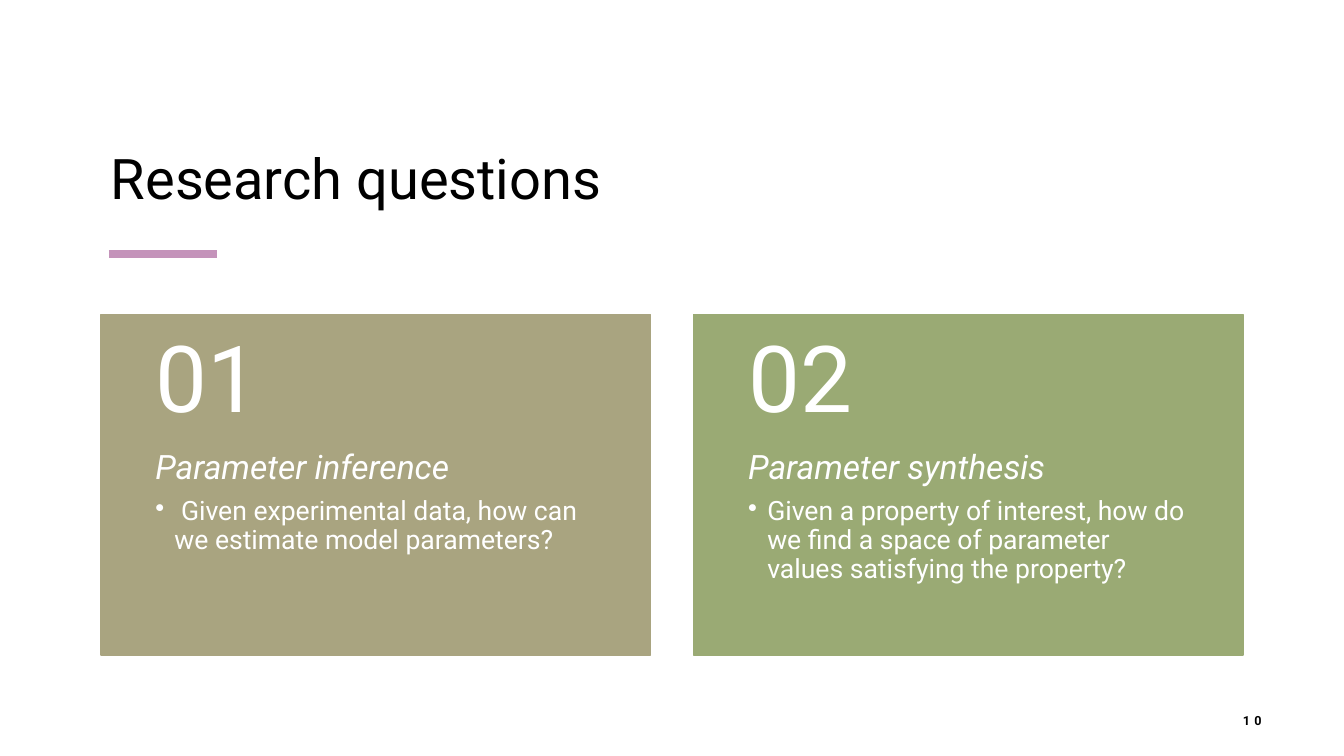
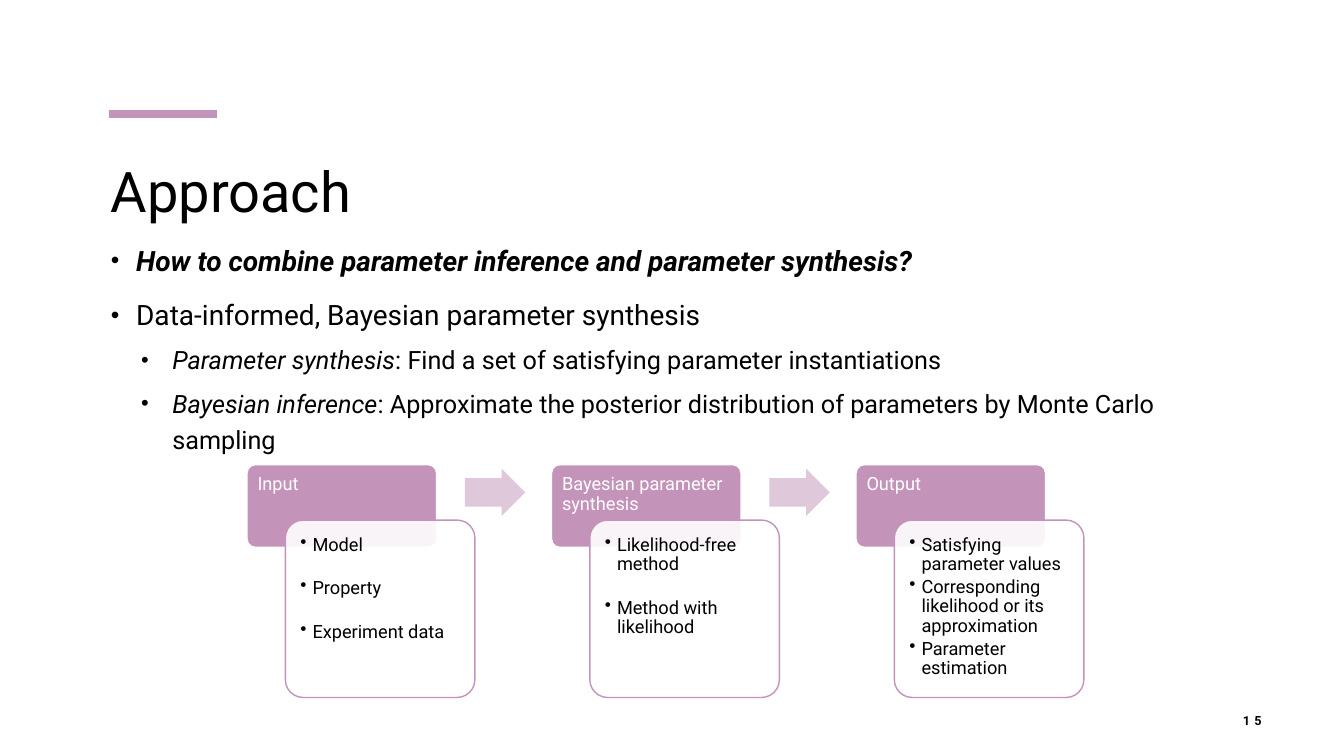
from dataclasses import dataclass
from typing import NamedTuple

from lxml import etree
from pptx import Presentation
from pptx.dml.color import RGBColor
from pptx.enum.shapes import MSO_CONNECTOR, MSO_SHAPE
from pptx.enum.text import MSO_ANCHOR, MSO_AUTO_SIZE, PP_ALIGN
from pptx.oxml.ns import qn
from pptx.util import Emu, Pt

EMU_PER_PX = 9144
FONT = "Roboto"
BLACK = RGBColor(0x00, 0x00, 0x00)
WHITE = RGBColor(0xFF, 0xFF, 0xFF)
MAUVE = RGBColor(0xC4, 0x93, 0xBA)
PALE_MAUVE = RGBColor(0xDE, 0xC8, 0xD9)
KHAKI = RGBColor(0xA9, 0xA4, 0x80)
GREEN = RGBColor(0x9A, 0xAA, 0x74)

RECTANGLE = MSO_SHAPE.RECTANGLE
ROUNDED = MSO_SHAPE.ROUNDED_RECTANGLE
ARROW = MSO_SHAPE.RIGHT_ARROW
STRAIGHT = MSO_CONNECTOR.STRAIGHT
TOP, MIDDLE, BOTTOM = MSO_ANCHOR.TOP, MSO_ANCHOR.MIDDLE, MSO_ANCHOR.BOTTOM
LEFT, RIGHT = PP_ALIGN.LEFT, PP_ALIGN.RIGHT
NO_AUTOFIT = MSO_AUTO_SIZE.NONE

TITLE_AND_CONTENT, TITLE_ONLY = 1, 5
CARD_PITCH = 588
STAGE_PITCH = 302


class Box(NamedTuple):
    """A rectangle in px, 100 px to the inch."""

    left: int
    top: int
    width: int
    height: int

    def shifted(self, distance: int) -> "Box":
        """Return the box moved to the right."""
        return self._replace(left=self.left + distance)

    def emu(self) -> list[Emu]:
        """Return the four lengths in EMU."""
        return [px(length) for length in self]


@dataclass(frozen=True)
class Card:
    """A numbered research question."""

    number: str
    heading: str
    question: str
    color: RGBColor


@dataclass(frozen=True)
class Stage:
    """A step of the process with its details."""

    heading: str
    details: tuple[str, ...]
    gap: int


CARDS = (
    Card("01", "Parameter inference",
         " Given experimental data, how can we estimate model parameters?", KHAKI),
    Card("02", "Parameter synthesis",
         "Given a property of interest, how do we find a space of parameter "
         "values satisfying the property?", GREEN),
)
STAGES = (
    Stage("Input", ("Model", "Property", "Experiment data"), 17),
    Stage("Bayesian parameter synthesis",
          ("Likelihood-free method", "Method with likelihood"), 17),
    Stage("Output", ("Satisfying parameter values",
                     "Corresponding likelihood or its approximation",
                     "Parameter estimation"), 2),
)


def px(length: int) -> Emu:
    """Turn px into EMU."""
    return Emu(length * EMU_PER_PX)


def set_frame(frame, anchor=TOP, margins=(10, 5, 10, 5)) -> None:
    """Set wrapping, anchor and margins of a text frame."""
    frame.word_wrap = True
    frame.auto_size = NO_AUTOFIT
    frame.vertical_anchor = anchor
    (frame.margin_left, frame.margin_top,
     frame.margin_right, frame.margin_bottom) = map(px, margins)


def write(frame, text: str, *, size: int, color=BLACK, bold=False, italic=False,
          lead="", align=LEFT, line=1.0, before=0, after=0, level=0,
          indent=0, hanging=0, bullet_size=100, tracking=0) -> None:
    """Add a paragraph, with an optional italic lead and a bullet if it hangs."""
    paragraph = frame.paragraphs[0]
    if paragraph.runs:
        paragraph = frame.add_paragraph()
    paragraph.alignment = align
    paragraph.level = level
    paragraph.line_spacing = line
    paragraph.space_before = Pt(before)
    paragraph.space_after = Pt(after)
    if hanging:
        properties = paragraph._p.get_or_add_pPr()
        properties.set("marL", str(px(indent)))
        properties.set("indent", str(px(-hanging)))
        etree.SubElement(properties, qn("a:buSzPct"), val=str(bullet_size * 1000))
        etree.SubElement(properties, qn("a:buChar"), char="•")
    for part, slanted in ((lead, True), (text, italic)):
        if not part:
            continue
        run = paragraph.add_run()
        run.text = part
        run.font.name = FONT
        run.font.size = Pt(size)
        run.font.bold = bold
        run.font.italic = slanted
        run.font.color.rgb = color
        if tracking:
            run._r.get_or_add_rPr().set("spc", str(tracking * 100))


def add_text_box(slide, box: Box, **frame_format):
    """Add a text box and return its frame."""
    frame = slide.shapes.add_textbox(*box.emu()).text_frame
    set_frame(frame, **frame_format)
    return frame


def add_shape(slide, kind, box: Box, fill: RGBColor, line=None,
              adjustments=(), opacity=100):
    """Add a flat preset shape."""
    shape = slide.shapes.add_shape(kind, *box.emu())
    shape.shadow.inherit = False
    for index, value in enumerate(adjustments):
        shape.adjustments[index] = value
    shape.fill.solid()
    shape.fill.fore_color.rgb = fill
    if opacity < 100:
        fill_color = shape.element.spPr.find(f".//{qn('a:srgbClr')}")
        etree.SubElement(fill_color, qn("a:alpha"), val=str(opacity * 1000))
    if line is None:
        shape.line.fill.background()
    else:
        shape.line.color.rgb = line
        shape.line.width = Pt(1)
    return shape


def fill_placeholder(placeholder, box: Box, anchor=TOP):
    """Place a placeholder and return its frame."""
    (placeholder.left, placeholder.top,
     placeholder.width, placeholder.height) = box.emu()
    set_frame(placeholder.text_frame, anchor)
    return placeholder.text_frame


def add_slide(presentation, layout: int, title: str, title_box: Box,
              anchor, accent_top: int, number: str):
    """Add a slide with title, accent line and slide number."""
    slide = presentation.slides.add_slide(presentation.slide_layouts[layout])
    write(fill_placeholder(slide.shapes.title, title_box, anchor), title, size=40)
    accent = slide.shapes.add_connector(
        STRAIGHT, px(108), px(accent_top), px(215), px(accent_top))
    accent.line.color.rgb = MAUVE
    accent.line.width = Pt(6)
    etree.SubElement(accent.element.spPr, qn("a:effectLst"))
    number_frame = add_text_box(slide, Box(1182, 695, 79, 40), anchor=MIDDLE)
    write(number_frame, number, size=9, bold=True, align=RIGHT, tracking=3)
    return slide


def add_card(slide, card: Card, shift: int) -> None:
    """Draw one research question."""
    add_shape(slide, RECTANGLE, Box(100, 312, 545, 338).shifted(shift),
              card.color, card.color)
    number = add_text_box(slide, Box(100, 312, 545, 135).shifted(shift),
                          anchor=MIDDLE, margins=(54, 18, 54, 18))
    write(number, card.number, size=66, color=WHITE, line=0.9)
    body = add_text_box(slide, Box(100, 447, 545, 203).shifted(shift),
                        margins=(54, 0, 54, 36))
    write(body, card.heading, size=24, color=WHITE, italic=True, line=0.9, after=8)
    write(body, card.question, size=19, color=WHITE, line=0.9, level=1,
          indent=19, hanging=19)


def add_stage(slide, stage: Stage, shift: int) -> None:
    """Draw one step with its overlapping detail panel."""
    header = add_shape(slide, ROUNDED, Box(245, 461, 188, 82).shifted(shift),
                       MAUVE, WHITE, (0.1,))
    set_frame(header.text_frame, margins=(8, 8, 8, 5))
    write(header.text_frame, stage.heading, size=13, color=WHITE, line=0.9)
    panel = add_shape(slide, ROUNDED, Box(283, 516, 188, 176).shifted(shift),
                      WHITE, MAUVE, (0.1,), opacity=90)
    set_frame(panel.text_frame, margins=(10, 10, 10, 10))
    for detail in stage.details:
        write(panel.text_frame, detail, size=13, line=0.9, after=stage.gap,
              level=1, indent=12, hanging=12)


def build_questions(presentation) -> None:
    """Build the slide of research questions."""
    slide = add_slide(presentation, TITLE_ONLY, "Research questions",
                      Box(100, 62, 1106, 152), BOTTOM, 252, "10")
    for index, card in enumerate(CARDS):
        add_card(slide, card, index * CARD_PITCH)


def build_approach(presentation) -> None:
    """Build the slide of the approach."""
    slide = add_slide(presentation, TITLE_AND_CONTENT, "Approach",
                      Box(100, 150, 1133, 144), TOP, 113, "15")
    body = fill_placeholder(slide.placeholders[1], Box(100, 230, 1133, 338))
    main = dict(size=20, line=1.2, before=10, indent=25, hanging=25, bullet_size=87)
    detail = dict(size=18, line=1.2, before=5, level=1, indent=61, hanging=31,
                  bullet_size=87)
    write(body, "How to combine parameter inference and parameter synthesis?",
          bold=True, italic=True, **main)
    write(body, "Data-informed, Bayesian parameter synthesis", **main)
    write(body, ": Find a set of satisfying parameter instantiations",
          lead="Parameter synthesis", **detail)
    write(body, ": Approximate the posterior distribution of parameters by "
          "Monte Carlo sampling", lead="Bayesian inference", **detail)
    for index, stage in enumerate(STAGES):
        shift = index * STAGE_PITCH
        add_stage(slide, stage, shift)
        if index < len(STAGES) - 1:
            add_shape(slide, ARROW, Box(461, 465, 60, 47).shifted(shift),
                      PALE_MAUVE, adjustments=(0.6, 0.5))


def main() -> None:
    """Build and save the presentation."""
    presentation = Presentation()
    presentation.slide_width = px(1333)
    presentation.slide_height = px(750)
    build_questions(presentation)
    build_approach(presentation)
    presentation.save("out.pptx")


if __name__ == "__main__":
    main()
